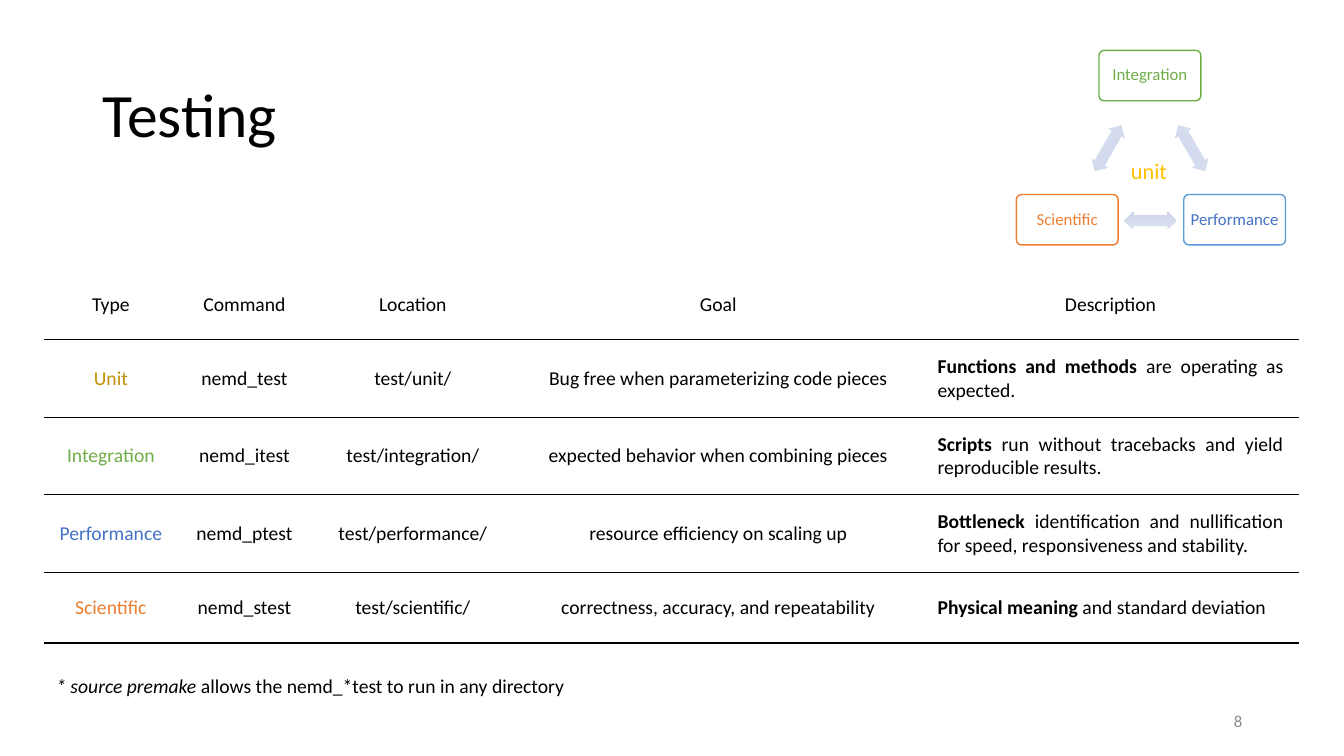
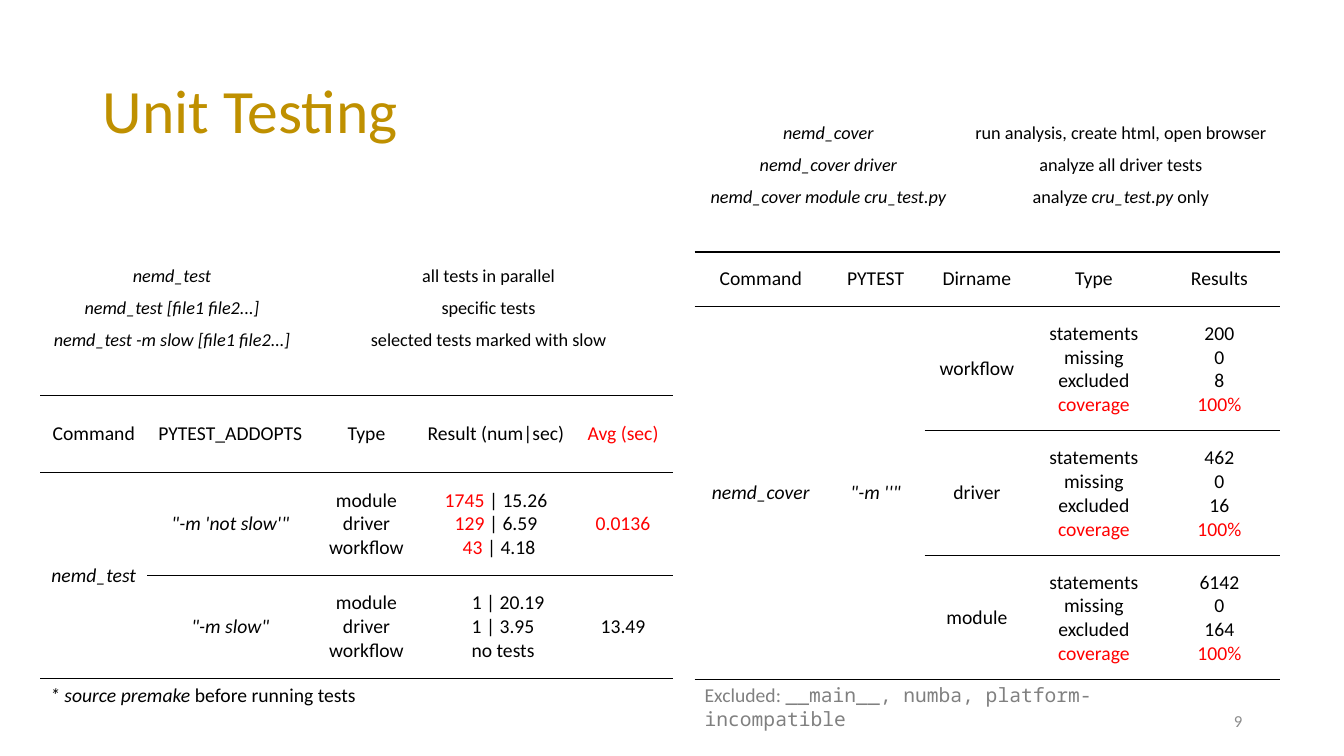
from dataclasses import dataclass

from lxml import etree
from pptx import Presentation
from pptx import util as u
from pptx.dml.color import RGBColor
from pptx.enum import shapes, text
from pptx.oxml.ns import qn

PX = 9144  # 100 px to the inch


@dataclass(frozen=True)
class Theme:
    font: str = "Calibri"
    mono: str = "Noto Sans Mono"
    black: str = "000000"
    white: str = "FFFFFF"
    grey: str = "808080"
    page: str = "8C8C8C"
    gold: str = "BF9000"
    yellow: str = "FFC000"
    green: str = "70AD47"
    blue: str = "4472C4"
    sky: str = "5B9BD5"
    orange: str = "ED7D31"
    red: str = "FF0000"
    arrow: tuple = ("DEE3F2", "CCD3EB")
    title: int = 44
    unit: int = 16
    body: int = 14
    command: int = 13
    small: int = 12


T = Theme()
NO_GRID = "{2D5ABB26-0587-4C30-8999-92F81FD0307C}"
ALIGN = {"l": text.PP_ALIGN.LEFT, "c": text.PP_ALIGN.CENTER,
         "r": text.PP_ALIGN.RIGHT, "j": text.PP_ALIGN.JUSTIFY}
IT, BOLD, RED = {"italic": True}, {"bold": True}, {"color": T.red}


def write(tf, paras, size, align="c", color=T.black, spacing=None):
    """Each paragraph is a run or a list of runs; a run is text or (text, style)."""
    for i, runs in enumerate(paras):
        p = tf.paragraphs[0] if i == 0 else tf.add_paragraph()
        p.alignment = ALIGN[align]
        if spacing:
            p.line_spacing = spacing
        for run in runs if isinstance(runs, list) else [runs]:
            words, style = (run, {}) if isinstance(run, str) else run
            r = p.add_run()
            r.text = words
            r.font.name = style.get("font", T.font)
            r.font.size = u.Pt(size)
            r.font.bold = style.get("bold", False)
            r.font.italic = style.get("italic", False)
            r.font.color.rgb = RGBColor.from_string(style.get("color", color))


def grid(s, left, top, cols, heights, rows, size, inset, aligns, rules="", anchor="MIDDLE"):
    """Rules: t above the first row, b below every row. None continues the cell above."""
    gf = s.shapes.add_table(len(rows), len(cols), left * PX, top * PX,
                            sum(cols) * PX, sum(heights) * PX)
    tbl = gf.table
    tbl.first_row = tbl.horz_banding = False
    tbl._tbl.tblPr.find(qn("a:tableStyleId")).text = NO_GRID
    for col, width in zip(tbl.columns, cols):
        col.width = width * PX
    for row, height in zip(tbl.rows, heights):
        row.height = height * PX
    for i, row in enumerate(rows):
        for j, paras in enumerate(row):
            cell = tbl.cell(i, j)
            cell.fill.background()
            cell.margin_left = cell.margin_right = inset[0] * PX
            cell.margin_top = cell.margin_bottom = inset[1] * PX
            cell.vertical_anchor = text.MSO_ANCHOR[anchor]
            end = i + 1
            if paras is not None:
                write(cell.text_frame, paras, size, aligns[j])
                while end < len(rows) and rows[end][j] is None:
                    end += 1
                if end > i + 1:
                    cell.merge(tbl.cell(end - 1, j))
            sides = []
            if "b" in rules and (paras is not None or end == len(rows)):
                sides.append("a:lnB")
            if "t" in rules and i == 0:
                sides.append("a:lnT")
            for side in sides:
                ln = etree.Element(qn(side), w=str(u.Pt(1)))
                fill = etree.SubElement(ln, qn("a:solidFill"))
                etree.SubElement(fill, qn("a:srgbClr"), val=T.black)
                cell._tc.get_or_add_tcPr().insert(0, ln)
    return tbl


prs = Presentation()
prs.slide_width, prs.slide_height = 1333 * PX, 750 * PX
testing, unit = [prs.slides.add_slide(prs.slide_layouts[6]) for _ in range(2)]

# Titles, page numbers and notes: slide, box, anchor, paragraph, size, align, colour, spacing
boxes = [
    (testing, (92, 44, 233, 145), "MIDDLE", "Testing", T.title, "l", T.black, 0.9),
    (unit, (92, 40, 353, 145), "MIDDLE", "Unit Testing", T.title, "l", T.gold, 0.9),
    (testing, (942, 695, 300, 40), "MIDDLE", "8", T.small, "r", T.page, None),
    (unit, (942, 695, 300, 40), "MIDDLE", "9", T.small, "r", T.page, None),
    (testing, (1086, 154, 107, 34), "TOP", "unit", T.unit, "c", T.yellow, 0.9),
    (testing, (46, 664, 531, 34), "TOP",
     [("* source premake", IT), " allows the nemd_*test to run in any directory"],
     T.body, "j", T.black, None),
    (unit, (40, 673, 336, 34), "TOP",
     [("* source premake", IT), " before running tests"], T.body, "j", T.black, None),
    (unit, (689, 673, 459, 34), "TOP",
     ["Excluded: ", ("__main__, numba, platform-incompatible", {"font": T.mono})],
     T.body, "l", T.grey, None),
]
for s, box, anchor, para, size, align, color, spacing in boxes:
    sp = s.shapes.add_textbox(*[n * PX for n in box])
    tf = sp.text_frame
    tf.word_wrap = True
    tf.vertical_anchor = text.MSO_ANCHOR[anchor]
    write(tf, [para], size, align, color, spacing)

# Testing: triangle of test types
for label, left, top, line, color in [
    ("Integration", 1090, 50, T.green, T.green),
    ("Performance", 1174, 193, T.sky, T.blue),
    ("Scientific", 1008, 193, T.orange, T.orange),
]:
    sp = testing.shapes.add_shape(shapes.MSO_SHAPE.ROUNDED_RECTANGLE,
                                  left * PX, top * PX, 101 * PX, 50 * PX)
    sp.adjustments[0] = 0.1
    sp.shadow.inherit = False
    sp.fill.solid()
    sp.fill.fore_color.rgb = RGBColor.from_string(T.white)
    sp.line.color.rgb = RGBColor.from_string(line)
    sp.line.width = u.Pt(1)
    tf = sp.text_frame
    tf.word_wrap = True
    tf.vertical_anchor = text.MSO_ANCHOR.MIDDLE
    tf.margin_left = tf.margin_right = tf.margin_top = tf.margin_bottom = 5 * PX
    write(tf, [label], T.small, color=color, spacing=0.9)

for left, top, angle in [(1156, 138, 59.8), (1115, 210, 180), (1073, 138, 299.8)]:
    sp = testing.shapes.add_shape(shapes.MSO_SHAPE.LEFT_RIGHT_ARROW,
                                  left * PX, top * PX, 52 * PX, 18 * PX)
    sp.adjustments[0], sp.adjustments[1] = 0.6, 0.5
    sp.rotation = angle
    sp.shadow.inherit = False
    sp.line.fill.background()
    sp.fill.gradient()
    sp.fill.gradient_angle = 270
    for stop, color in zip(sp.fill.gradient_stops, T.arrow):
        stop.color.rgb = RGBColor.from_string(color)

# Testing: overview table
overview = [[[head] for head in ("Type", "Command", "Location", "Goal", "Description")]]
for kind, color, command, goal, lead, rest in [
    ("Unit", T.gold, "nemd_test", "Bug free when parameterizing code pieces",
     "Functions and methods", " are operating as expected."),
    ("Integration", T.green, "nemd_itest", "expected behavior when combining pieces",
     "Scripts", " run without tracebacks and yield reproducible results."),
    ("Performance", T.blue, "nemd_ptest", "resource efficiency on scaling up",
     "Bottleneck", " identification and nullification for speed, responsiveness and stability."),
    ("Scientific", T.orange, "nemd_stest", "correctness, accuracy, and repeatability",
     "Physical meaning", " and standard deviation"),
]:
    overview.append([[(kind, {"color": color})], [command], [f"test/{kind.lower()}/"],
                     [goal], [[(lead, BOLD), rest]]])
tbl = grid(testing, 44, 267, [132, 133, 201, 405, 373], [70, 77, 77, 77, 70],
           overview, T.body, (15, 15), "ccccj", "b")
tbl.cell(0, 4).text_frame.paragraphs[0].alignment = ALIGN["c"]

# Unit testing: timing results
suites = ["module", "driver", "workflow"]
fast = [[(count, RED), f" | {seconds}"]
        for count, seconds in [("1745", "15.26"), ("129", "6.59"), ("43", "4.18")]]
results = [
    [["Command"], ["PYTEST_ADDOPTS"], ["Type"], ["Result (num|sec)"], [("Avg (sec)", RED)]],
    [[("nemd_test", IT)], [("\"-m 'not slow'\"", IT)], suites, fast, [("0.0136", RED)]],
    [None, [("\"-m slow\"", IT)], suites, ["1 | 20.19", "1 | 3.95", "no tests"], ["13.49"]],
]
tbl = grid(unit, 40, 392, [106, 165, 105, 152, 100], [77, 102, 102],
           results, T.body, (0, 15), "ccccc", "tb")
for row, indents in [(1, (0, 0, 6)), (2, (24, 14, 14))]:  # line up the bars
    for p, indent in zip(tbl.cell(row, 3).text_frame.paragraphs, indents):
        p._p.get_or_add_pPr().set("marL", str(indent * PX))

# Unit testing: coverage results
coverage = [[[head] for head in ("Command", "PYTEST", "Dirname", "Type", "Results")]]
for dirname, counts in [("workflow", ["200", "0", "8"]), ("driver", ["462", "0", "16"]),
                        ("module", ["6142", "0", "164"])]:
    first = len(coverage) == 1
    coverage.append([[("nemd_cover", IT)] if first else None,
                     [("\"-m ''\"", IT)] if first else None,
                     [dirname],
                     ["statements", "missing", "excluded", ("coverage", RED)],
                     counts + [("100%", RED)]])
grid(unit, 689, 250, [131, 97, 104, 128, 121], [54, 123, 123, 123],
     coverage, T.body, (10, 15), "ccccc", "tb")

# Unit testing: command lists
for left, top, cols, inset, commands in [
    (31, 258, [279, 349], (10, 5), [
        ("nemd_test", "all tests in parallel"),
        ("nemd_test [file1 file2...]", "specific tests"),
        ("nemd_test -m slow [file1 file2...]", "selected tests marked with slow")]),
    (689, 116, [265, 315], (0, 5), [
        ("nemd_cover", "run analysis, create html, open browser"),
        ("nemd_cover driver", "analyze all driver tests"),
        ("nemd_cover module cru_test.py", ["analyze ", ("cru_test.py ", IT), "only"])]),
]:
    grid(unit, left, top, cols, [32] * 3, [[[(name, IT)], [use]] for name, use in commands],
         T.command, inset, "cc", anchor="TOP")

prs.save("out.pptx")
